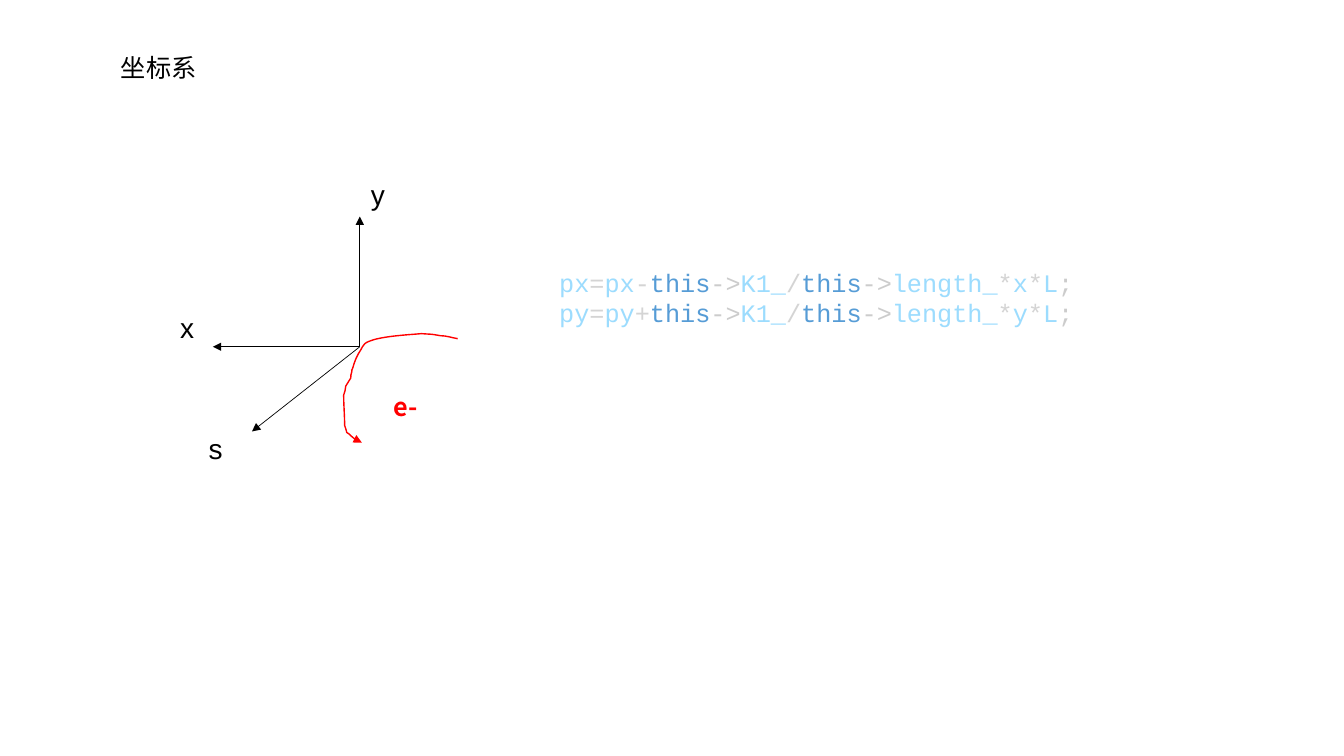
from dataclasses import dataclass

from lxml import etree
from pptx import Presentation
from pptx.dml.color import RGBColor
from pptx.enum.shapes import MSO_CONNECTOR
from pptx.enum.text import MSO_ANCHOR, MSO_AUTO_SIZE, PP_ALIGN
from pptx.oxml.ns import qn
from pptx.util import Pt

STRAIGHT = MSO_CONNECTOR.STRAIGHT
TOP = MSO_ANCHOR.TOP
LEFT = PP_ALIGN.LEFT
GROW = MSO_AUTO_SIZE.SHAPE_TO_FIT_TEXT
TITLE_ONLY = 5


@dataclass(frozen=True)
class Theme:
    ink: str = "000000"
    beam: str = "FF0000"
    variable: str = "9CDCFE"
    operator: str = "D4D4D4"
    keyword: str = "569CD6"
    punctuation: str = "CCCCCC"
    body: int = 18
    axis: int = 20
    axis_line: float = 0.5
    beam_line: float = 1
    cjk: str = "Noto Sans CJK JP"
    sans: str = "Arial"
    mono: str = "Courier New"


THEME = Theme()

# Offsets from the axis origin: a start, then three points for each curve
TRAJECTORY = [
    (69.9, -5.8),
    (65.6, -6.5), (62, -7.9), (57.6, -7.9),
    (49, -9.4), (53.3, -8.7), (44, -9.4),
    (36.8, -8.7), (20.2, -7.9), (10.1, -5.1),
    (8, -4.3), (5.1, -3.6), (3.6, -2.2),
    (2.2, -0.7), (1.5, 0.7), (0.8, 2.1),
    (-2.1, 6.5), (-3.6, 10.1), (-5, 15.1),
    (-5.7, 15.8), (-5.7, 17.3), (-5.7, 18),
    (-6.4, 19.4), (-6.4, 20.9), (-6.4, 22.3),
    (-7.9, 24.5), (-8.6, 25.9), (-10, 28.1),
    (-10, 30.2), (-10.8, 32.4), (-11.5, 34.5),
    (-11.5, 41.7), (-10.8, 48.9), (-10.8, 56.1),
    (-10.8, 56.1), (-9.3, 60.5), (-9.3, 61.2),
    (-7.9, 61.9), (-7.2, 62.6), (-5.7, 64.1),
    (-5.7, 64.1), (-1.4, 67.7), (0, 68.4),
    (0, 68.4), (0.8, 68.4), (1.5, 68.4),
]


def add_run(paragraph, text, color, size, font, bold=False):
    run = paragraph.add_run()
    run.text = text
    for name, value in {"size": Pt(size), "name": font, "bold": bold}.items():
        setattr(run.font, name, value)
    run.font.color.rgb = RGBColor.from_string(color)
    east_asian = etree.SubElement(run.font._element, qn("a:ea"))
    east_asian.set("typeface", font)


def place(shape, box):
    for name, value in zip(("left", "top", "width", "height"), box):
        setattr(shape, name, Pt(value))


def add_label(slide, box, text, **style):
    label = slide.shapes.add_textbox(*map(Pt, box))
    label.text_frame.word_wrap = True
    label.text_frame.auto_size = GROW
    add_run(label.text_frame.paragraphs[0], text, **style)


def style_arrow(shape, color, width):
    shape.line.color.rgb = RGBColor.from_string(color)
    shape.line.width = Pt(width)
    line = shape.line._get_or_add_ln()
    etree.SubElement(line, qn("a:tailEnd")).set("type", "triangle")


def add_title(slide, box):
    title = slide.shapes.title
    place(title, box)
    frame = title.text_frame
    settings = {"vertical_anchor": TOP, "word_wrap": True, "auto_size": GROW}
    for name, value in settings.items():
        setattr(frame, name, value)
    frame.paragraphs[0].alignment = LEFT
    add_run(frame.paragraphs[0], "坐标系", THEME.ink, THEME.body, THEME.cjk)


def add_trajectory(slide, origin_x, origin_y):
    points = [(Pt(origin_x + x), Pt(origin_y + y)) for x, y in TRAJECTORY]
    builder = slide.shapes.build_freeform(*points[0])
    builder.add_line_segments(points[1:], close=False)
    curve = builder.convert_to_shape()
    # Join every three straight segments into one cubic curve
    segments = list(curve._element.iter(qn("a:lnTo")))
    outline = segments[0].getparent()
    for first in range(0, len(segments), 3):
        cubic = etree.SubElement(outline, qn("a:cubicBezTo"))
        for segment in segments[first:first + 3]:
            cubic.append(segment[0])
            outline.remove(segment)
    curve.fill.background()
    curve.shadow.inherit = False
    style_arrow(curve, THEME.beam, THEME.beam_line)


def add_axes(slide, box):
    left, top, width, height = box
    origin_x, origin_y = left + 135.3, top + 124.6

    # Axis arrows
    axes = slide.shapes.add_group_shape()
    for dx, dy in ((-105, 0), (0, -93), (-77, 60.5)):
        ends = (origin_x, origin_y, origin_x + dx, origin_y + dy)
        arrow = axes.shapes.add_connector(STRAIGHT, *map(Pt, ends))
        etree.SubElement(arrow._element.spPr, qn("a:effectLst"))
        style_arrow(arrow, THEME.ink, THEME.axis_line)
        # Keep the effect list behind the line in schema order
        arrow._element.spPr.append(arrow._element.spPr.find(qn("a:effectLst")))

    # Axis names
    for name, x, y, label_width in (
        ("x", 0, 95, 40.3), ("y", 136.1, 0, 38.9), ("s", 20.2, 181.4, 28.8)
    ):
        add_label(slide, (left + x, top + y, label_width, 31.5), name,
                  color=THEME.ink, size=THEME.axis, font=THEME.sans)

    # Electron path
    add_trajectory(slide, origin_x, origin_y)
    add_label(slide, (left + 152.6, top + 152.6, 51.8, 29), "e-",
              color=THEME.beam, size=THEME.body, font=THEME.cjk, bold=True)


def kick_tokens(axis, sign):
    variable, operator = THEME.variable, THEME.operator
    member = [("this", THEME.keyword), ("->", THEME.punctuation)]
    return [
        (f"p{axis}", variable), ("=", operator),
        (f"p{axis}", variable), (sign, operator),
        *member, ("K1_", variable), ("/", operator),
        *member, ("length_", variable), ("*", operator),
        (axis, variable), ("*", operator),
        ("L", variable), (";", THEME.punctuation),
    ]


def add_code(slide, box):
    code = slide.shapes.add_textbox(*map(Pt, box)).text_frame
    code.word_wrap = True
    code.auto_size = GROW
    code.add_paragraph()
    for line, (axis, sign) in zip(code.paragraphs, (("x", "-"), ("y", "+"))):
        for text, color in kick_tokens(axis, sign):
            add_run(line, text, color, THEME.body, THEME.mono)


def main():
    deck = Presentation()
    deck.slide_width, deck.slide_height = Pt(960), Pt(540)
    slide = deck.slides.add_slide(deck.slide_layouts[TITLE_ONLY])
    add_title(slide, (79.2, 33.8, 88.6, 29))
    add_axes(slide, (121.7, 123.1, 205, 213))
    add_code(slide, (392.4, 187.2, 400.3, 51))
    deck.save("out.pptx")


if __name__ == "__main__":
    main()
